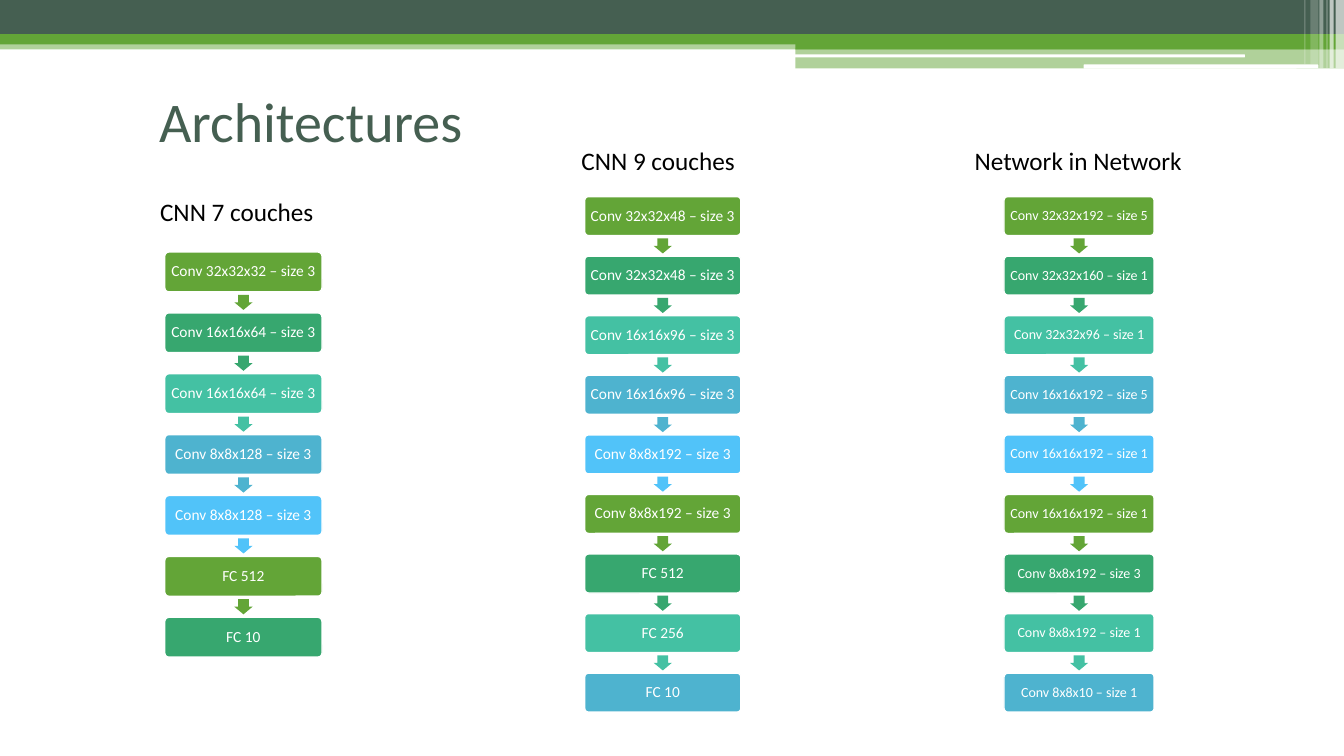
from dataclasses import dataclass

from lxml import etree
from pptx import Presentation
from pptx import util as u
from pptx.dml.color import RGBColor
from pptx.enum import shapes, text
from pptx.oxml import ns

# Grid: ten columns and ten rows to the inch
CELL = u.Inches(0.1)
SLIDE_COLUMNS, SLIDE_ROWS = 133.33, 75

FONT = "Calibri"
COLORS = {
    "dark": "455F51",
    "green": "63A537",
    "emerald": "37A76F",
    "mint": "44C1A3",
    "teal": "4EB3CF",
    "sky": "51C3F9",
    "white": "FFFFFF",
    "black": "000000",
}
LAYER_COLORS = ("green", "emerald", "mint", "teal", "sky")
ARROW_LENGTH, ARROW_BREADTH = 1.5, 1.8


@dataclass(frozen=True)
class Area:
    column: float
    row: float
    columns: float
    rows: float

    def lengths(self) -> list[int]:
        return [round(value * CELL) for value in
                (self.column, self.row, self.columns, self.rows)]


@dataclass(frozen=True)
class Band:
    area: Area
    color: str
    opacity: int = 100
    kind: shapes.MSO_SHAPE = shapes.MSO_SHAPE.RECTANGLE


@dataclass(frozen=True)
class Label:
    words: str
    area: Area
    size: float = 18
    color: str = "black"
    wrap: bool = False


@dataclass(frozen=True)
class Network:
    heading: Label
    first_box: Area
    pitch: float
    size: float
    layers: tuple[str, ...]


ROUNDED = shapes.MSO_SHAPE.ROUNDED_RECTANGLE
BANDS = (
    Band(Area(0, 4, SLIDE_COLUMNS, 0.9), "green", 50),
    Band(Area(0, 0, SLIDE_COLUMNS, 3.4), "dark"),
    Band(Area(0, 3.4, SLIDE_COLUMNS, 1), "green"),
    Band(Area(78.9, 3.9, 54.43, 1), "green"),
    Band(Area(78.9, 4.8, 54.43, 2), "green", 50),
    Band(Area(78.8, 5.4, 44.7, 0.3), "white", kind=ROUNDED),
    Band(Area(107.5, 6.4, 23.3, 0.4), "white", kind=ROUNDED),
    Band(Area(132.5, 0, 0.83, 6.8), "white", 65),
    Band(Area(131.9, 0, 0.4, 6.8), "white", 65),
    Band(Area(131.6, 0, 0.1, 6.8), "white", 60),
    Band(Area(130.9, 0, 0.4, 6.8), "white", 40),
    Band(Area(130, 0, 0.8, 6.4), "white", 20),
    Band(Area(129.4, 0, 0.1, 6.4), "white", 30),
)
TITLE = Label("Architectures", Area(14.8, 7.9, 37.4, 8), 40, "dark", True)
NETWORKS = (
    Network(
        Label("CNN 7 couches", Area(14.9, 19, 20, 4)),
        Area(16.35, 25, 15.6, 3.95), 6.04, 11,
        ("Conv 32x32x32 – size 3", "Conv 16x16x64 – size 3",
         "Conv 16x16x64 – size 3", "Conv 8x8x128 – size 3",
         "Conv 8x8x128 – size 3", "FC 512", "FC 10"),
    ),
    Network(
        Label("CNN 9 couches", Area(56.7, 13.9, 20, 4)),
        Area(58, 19.5, 15.5, 3.87), 5.91, 11,
        ("Conv 32x32x48 – size 3", "Conv 32x32x48 – size 3",
         "Conv 16x16x96 – size 3", "Conv 16x16x96 – size 3",
         "Conv 8x8x192 – size 3", "Conv 8x8x192 – size 3",
         "FC 512", "FC 256", "FC 10"),
    ),
    Network(
        Label("Network in Network", Area(95.7, 13.9, 22.8, 4)),
        Area(99.6, 19.5, 14.9, 3.87), 5.91, 10,
        ("Conv 32x32x192 – size 5", "Conv 32x32x160 – size 1",
         "Conv 32x32x96 – size 1", "Conv 16x16x192 – size 5",
         "Conv 16x16x192 – size 1", "Conv 16x16x192 – size 1",
         "Conv 8x8x192 – size 3", "Conv 8x8x192 – size 1",
         "Conv 8x8x10 – size 1"),
    ),
)


def set_attributes(target, values: dict) -> None:
    for name, value in values.items():
        setattr(target, name, value)


def rgb(color: str) -> RGBColor:
    return RGBColor.from_string(COLORS[color])


def add_filled(slide, kind: shapes.MSO_SHAPE, area: Area, color: str):
    shape = slide.shapes.add_shape(kind, *area.lengths())
    shape.shadow.inherit = False
    shape.fill.solid()
    shape.fill.fore_color.rgb = rgb(color)
    shape.line.fill.background()
    return shape


def write(shape, words: str, size: float, color: str, frame_format: dict,
          paragraph_format: dict) -> None:
    set_attributes(shape.text_frame, frame_format)
    paragraph = shape.text_frame.paragraphs[0]
    paragraph.text = words
    set_attributes(paragraph, paragraph_format)
    set_attributes(paragraph.font, {"name": FONT, "size": u.Pt(size)})
    paragraph.font.color.rgb = rgb(color)


def draw_band(slide, band: Band) -> None:
    shape = add_filled(slide, band.kind, band.area, band.color)
    if band.opacity < 100:
        fill_color = shape.fill._xPr.find(".//" + ns.qn("a:srgbClr"))
        etree.SubElement(fill_color, ns.qn("a:alpha"), val=str(band.opacity * 1000))


def draw_label(slide, label: Label) -> None:
    box = slide.shapes.add_textbox(*label.area.lengths())
    write(box, label.words, label.size, label.color,
          {"word_wrap": label.wrap, "vertical_anchor": text.MSO_ANCHOR.MIDDLE},
          {"alignment": text.PP_ALIGN.LEFT})


def draw_layer(slide, words: str, area: Area, color: str, size: float) -> None:
    box = add_filled(slide, ROUNDED, area, color)
    box.adjustments[0] = 0.1
    box.line.color.rgb = rgb("white")
    box.line.width = u.Pt(1)
    margins = {f"margin_{side}": u.Inches(0.05)
               for side in ("left", "top", "right", "bottom")}
    write(box, words, size, "white",
          {"word_wrap": False, "vertical_anchor": text.MSO_ANCHOR.MIDDLE, **margins},
          {"alignment": text.PP_ALIGN.CENTER, "line_spacing": 0.9})


def draw_arrow(slide, center_column: float, center_row: float, color: str) -> None:
    area = Area(center_column - ARROW_LENGTH / 2, center_row - ARROW_BREADTH / 2,
                ARROW_LENGTH, ARROW_BREADTH)
    arrow = add_filled(slide, shapes.MSO_SHAPE.RIGHT_ARROW, area, color)
    arrow.rotation = 90
    arrow.adjustments[0], arrow.adjustments[1] = 0.6, 0.5


def draw_network(slide, network: Network) -> None:
    first = network.first_box
    for index, words in enumerate(network.layers):
        color = LAYER_COLORS[index % len(LAYER_COLORS)]
        row = first.row + index * network.pitch
        area = Area(first.column, row, first.columns, first.rows)
        draw_layer(slide, words, area, color, network.size)
        if index < len(network.layers) - 1:
            draw_arrow(slide, first.column + first.columns / 2,
                       row + (first.rows + network.pitch) / 2, color)
    draw_label(slide, network.heading)


def main() -> None:
    presentation = Presentation()
    set_attributes(presentation, {"slide_width": round(SLIDE_COLUMNS * CELL),
                                  "slide_height": SLIDE_ROWS * CELL})
    slide = presentation.slides.add_slide(presentation.slide_layouts[6])

    # Header bands
    for band in BANDS:
        draw_band(slide, band)

    # Title and the three networks
    draw_label(slide, TITLE)
    for network in NETWORKS:
        draw_network(slide, network)

    presentation.save("out.pptx")


if __name__ == "__main__":
    main()
